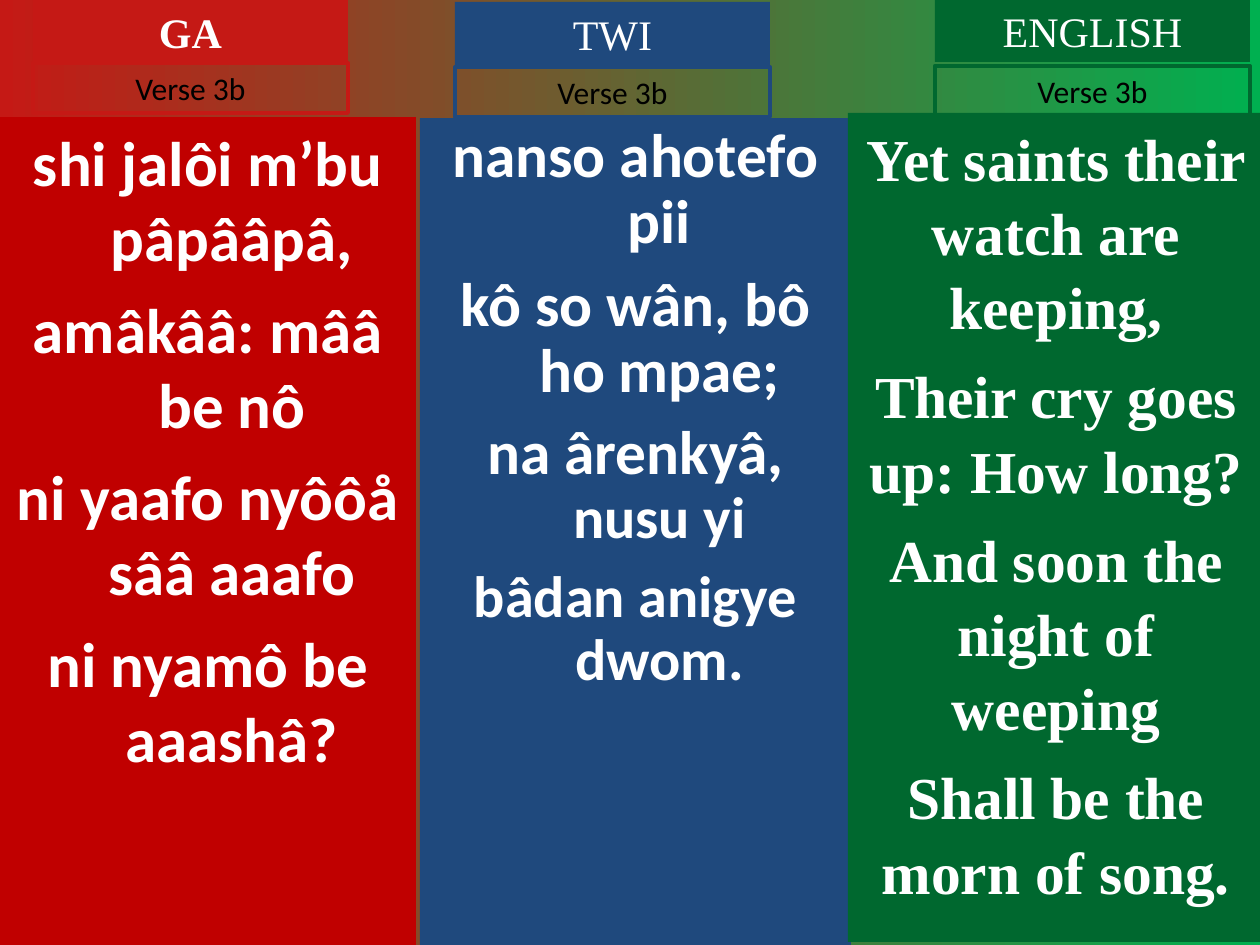
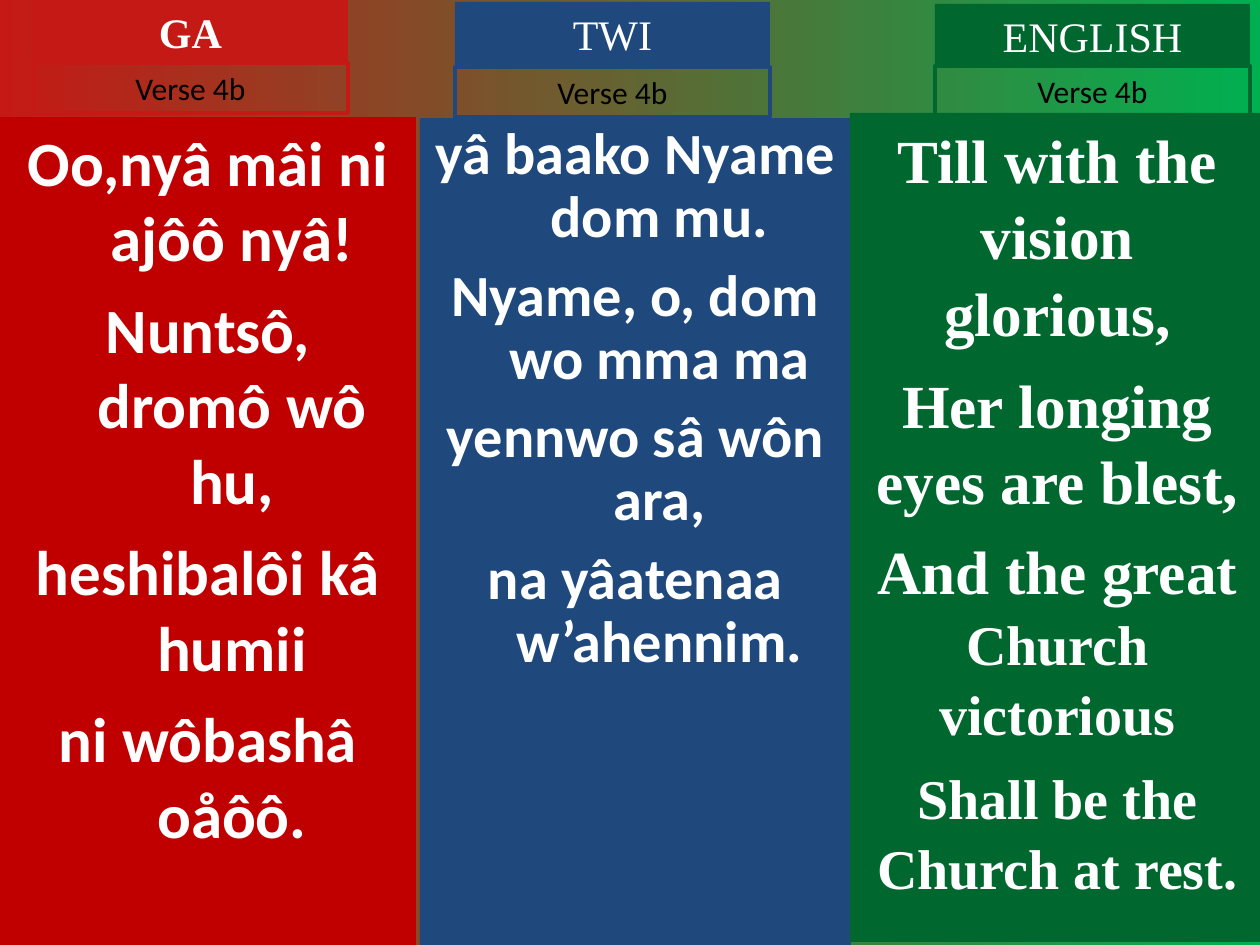
from dataclasses import dataclass

from pptx import Presentation
from pptx.dml.color import RGBColor
from pptx.enum import shapes, text
from pptx.util import Emu, Pt

PX = 914400 / 126
WIDTH, HEIGHT = 1260, 945

RED = RGBColor(0xC5, 0x19, 0x15)
DEEP_RED = RGBColor(0xC0, 0x00, 0x00)
BLUE = RGBColor(0x1F, 0x49, 0x7D)
GREEN = RGBColor(0x00, 0x68, 0x2F)
BRIGHT_GREEN = RGBColor(0x00, 0xB0, 0x50)
WHITE = RGBColor(0xFF, 0xFF, 0xFF)
BLACK = RGBColor(0x00, 0x00, 0x00)
SANS, SERIF = "Calibri", "Times New Roman"

LABEL_WIDTH, LANGUAGE_HEIGHT, VERSE_HEIGHT = 315, 63, 50
HANGING = 48


@dataclass
class Language:
    name: str
    label_color: RGBColor
    panel_color: RGBColor
    font: str
    label_left: int
    verse_top: int
    line_spacing: float
    gap_ratio: float
    hanging: int = 0
    bold_name: bool = False


GA = Language("GA", RED, DEEP_RED, SANS, 33, 63, 1.0, 0.25, HANGING, True)
TWI = Language("TWI", BLUE, BLUE, SANS, 455, 67, 0.9, 0.27, HANGING)
ENGLISH = Language("ENGLISH", GREEN, GREEN, SERIF, 935, 66, 1.04, 0.25)

VERSES = [
    ("Verse 3b", [
        (GA, 0, (0, 117, 416, 828), [
            [("shi jalôi m’bu pâpââpâ,", 36)],
            [("amâkââ: mââ be nô", 36)],
            [("ni yaafo nyôôå sââ aaafo", 36)],
            [("ni nyamô be aaashâ?", 36)],
        ]),
        (TWI, 2, (420, 118, 431, 827), [
            [("nanso ahotefo pii", 35.1)],
            [("kô so wân, bô ho mpae;", 35.1)],
            [("na ârenkyâ, ", 35.1), ("nusu yi", 33.3)],
            [("bâdan anigye dwom.", 33.3)],
        ]),
        (ENGLISH, -1, (848, 113, 416, 829), [
            [("Yet saints their watch are keeping,", 34)],
            [("Their cry goes up: How long?", 34)],
            [("And soon the night of weeping", 34)],
            [("Shall be the morn of song.", 34)],
        ]),
    ]),
    ("Verse 4b", [
        (GA, 0, (0, 117, 416, 828), [
            [("Oo,nyâ mâi ni ajôô nyâ!", 36)],
            [("Nuntsô, dromô wô hu,", 36)],
            [("heshibalôi kâ humii", 36)],
            [("ni wôbashâ oåôô.", 36)],
        ]),
        (TWI, 2, (420, 118, 431, 827), [
            [("yâ baako Nyame dom mu.", 33.3)],
            [("Nyame, o, dom wo mma ma", 33.3)],
            [("yennwo sâ wôn ara,", 33.3)],
            [("na yâatenaa w’ahennim.", 33.3)],
        ]),
        (ENGLISH, 4, (850, 113, 415, 829), [
            [("Till with the vision glorious,", 35)],
            [("Her longing eyes are blest,", 35)],
            [("And the great ", 35), ("Church victorious", 32)],
            [("Shall be the Church at rest.", 32)],
        ]),
    ]),
]


def px(length):
    return Emu(round(length * PX))


def add_box(slide, box, fill=None, line=None):
    rect = slide.shapes.add_shape(shapes.MSO_SHAPE.RECTANGLE, *map(px, box))
    rect.shadow.inherit = False
    if fill is None:
        rect.fill.background()
    else:
        rect.fill.solid()
        rect.fill.fore_color.rgb = fill
    if line is None:
        rect.line.fill.background()
    else:
        rect.line.color.rgb = line
        rect.line.width = Pt(2.25)
    frame = rect.text_frame
    frame.word_wrap = True
    frame.vertical_anchor = text.MSO_ANCHOR.TOP
    return frame


def add_run(paragraph, words, size, font, color, bold=False):
    paragraph.alignment = text.PP_ALIGN.CENTER
    run = paragraph.add_run()
    run.text = words
    run.font.size = Pt(size)
    run.font.name = font
    run.font.bold = bold
    run.font.color.rgb = color


def add_labels(slide, language, top, verse):
    name = add_box(slide, (language.label_left, top, LABEL_WIDTH, LANGUAGE_HEIGHT),
                   fill=language.label_color)
    add_run(name.paragraphs[0], language.name, 24, SERIF, WHITE, language.bold_name)
    number = add_box(slide, (language.label_left, language.verse_top, LABEL_WIDTH, VERSE_HEIGHT),
                     line=language.label_color)
    add_run(number.paragraphs[0], verse, 18, SANS, BLACK)
    for label in (name, number):
        label.auto_size = text.MSO_AUTO_SIZE.SHAPE_TO_FIT_TEXT


def add_lyrics(slide, language, box, lines):
    panel = add_box(slide, box, fill=language.panel_color)
    for index, line in enumerate(lines):
        paragraph = panel.add_paragraph() if index else panel.paragraphs[0]
        paragraph.line_spacing = language.line_spacing
        if index:
            paragraph.space_before = Pt(round(line[-1][1] * language.gap_ratio, 1))
        if language.hanging:
            properties = paragraph._p.get_or_add_pPr()
            properties.set("marL", str(px(language.hanging)))
            properties.set("indent", str(-px(language.hanging)))
        for words, size in line:
            add_run(paragraph, words, size, language.font, WHITE, bold=True)


def paint_background(slide):
    fill = slide.background.fill
    fill.gradient()
    fill.gradient_angle = 0
    for stop, color in zip(fill.gradient_stops, (RED, BRIGHT_GREEN)):
        stop.color.rgb = color


def add_verse_slide(deck, verse, columns):
    slide = deck.slides.add_slide(deck.slide_layouts[6])
    paint_background(slide)
    for language, label_top, box, lines in columns:
        add_lyrics(slide, language, box, lines)
        add_labels(slide, language, label_top, verse)


def main():
    deck = Presentation()
    deck.slide_width, deck.slide_height = px(WIDTH), px(HEIGHT)
    for verse, columns in VERSES:
        add_verse_slide(deck, verse, columns)
    deck.save("out.pptx")


if __name__ == "__main__":
    main()
